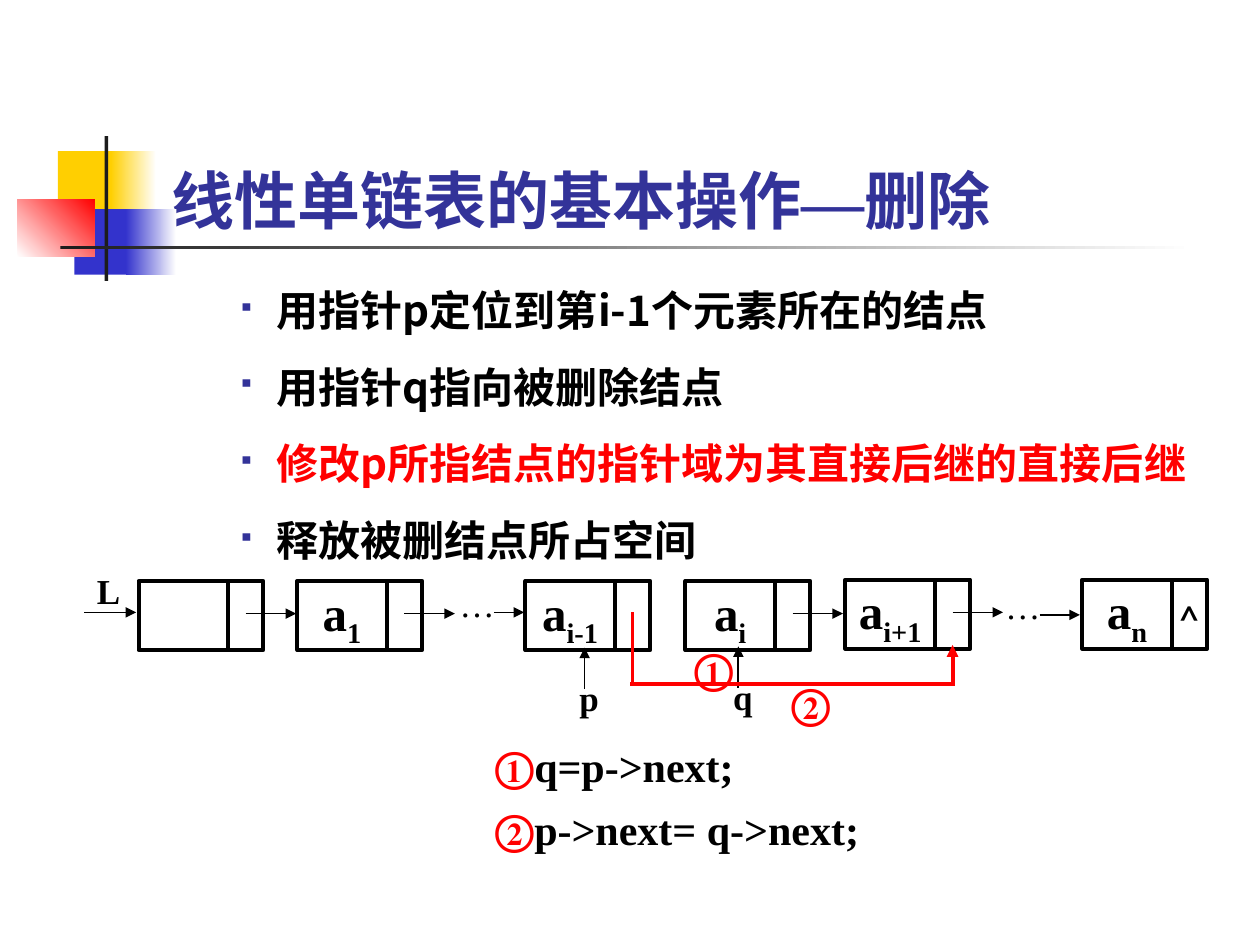
from lxml import etree
from pptx import Presentation, util as u
from pptx.dml.color import RGBColor
from pptx.enum import shapes as sh, text as tx
from pptx.oxml.ns import qn

PX = 9144
HUES = {"ink": "000000", "red": "FF0000", "navy": "333399", "blue": "3333CC",
        "gold": "FFCF01", "dark": "1C1C1C", "white": "FFFFFF"}
SERIF, SANS, HAN = "Times New Roman", "Karla", "Noto Sans CJK SC"


def px(*nums):
    return [u.Emu(n * PX) for n in nums]


def rgb(hue):
    return RGBColor.from_string(HUES[hue])


def sub(node, tag, **attrs):
    return etree.SubElement(node, qn(tag), **attrs)


def style(font, size, hue, face=SERIF, bold=True):
    font.size, font.bold, font.name = u.Pt(size), bold, face
    font.color.rgb = rgb(hue)
    sub(font._rPr, "a:ea", typeface=face)


def rect(slide, box, fill=None, fade=None, angle=0):
    shape = slide.shapes.add_shape(sh.MSO_SHAPE.RECTANGLE, *px(*box))
    shape.shadow.inherit = False
    if fade:
        shape.fill.gradient()
        shape.fill.gradient_angle = angle
        for stop, hue in zip(shape.fill.gradient_stops, (fill, fade)):
            stop.color.rgb = rgb(hue)
    elif fill:
        shape.fill.solid()
        shape.fill.fore_color.rgb = rgb(fill)
    else:
        shape.fill.background()
    if fill:
        shape.line.fill.background()
    else:
        shape.line.color.rgb = rgb("ink")
        shape.line.width = u.Pt(2.25)
    return shape


def line(slide, ends, hue="ink", width=0.75, arrow=True):
    link = slide.shapes.add_connector(sh.MSO_CONNECTOR.STRAIGHT, *px(*ends))
    link.line.color.rgb = rgb(hue)
    link.line.width = u.Pt(width)
    if arrow:
        sub(link.line._get_or_add_ln(), "a:tailEnd", type="triangle")
    sub(link._element.spPr, "a:effectLst")


def label(slide, box, parts, size=20, bold=True, wrap=True):
    frame = slide.shapes.add_textbox(*px(*box)).text_frame
    frame.word_wrap = wrap
    par = frame.paragraphs[0]
    for words, hue in parts:
        run = par.add_run()
        run.text = words
        style(run.font, size, hue, bold=bold)


def motif(slide, x, y):
    for box, *look in (
        ((32, 12, 48, 52), "gold"),
        ((74, 12, 36, 52), "gold", "white"),
        ((45, 58, 46, 52), "blue"),
        ((86, 58, 40, 52), "blue", "white"),
        ((0, 50, 61, 46), "white", "red", 45),
        ((69, 0, 3, 115), "dark"),
        ((34, 87, 900, 3), "dark", "white"),
    ):
        left, top, wide, high = box
        rect(slide, (x + left, y + top, wide, high), *look)


def title(slide, box):
    shape = slide.shapes.title
    shape.left, shape.top, shape.width, shape.height = px(*box)
    frame = shape.text_frame
    frame.auto_size = tx.MSO_AUTO_SIZE.NONE
    frame.vertical_anchor = tx.MSO_ANCHOR.BOTTOM
    par = frame.paragraphs[0]
    par.alignment = tx.PP_ALIGN.LEFT
    for words, face in (("线性单链表的基本操作", SANS), ("—", SERIF), ("删除", SANS)):
        run = par.add_run()
        run.text = words
        style(run.font, 36, "navy", face)


def steps(slide, box):
    frame = slide.shapes.add_textbox(*px(*box)).text_frame
    frame.word_wrap = True
    for i, (words, hue) in enumerate((
        ("用指针p定位到第i-1个元素所在的结点", "ink"),
        ("用指针q指向被删除结点", "ink"),
        ("修改p所指结点的指针域为其直接后继的直接后继", "red"),
        ("释放被删结点所占空间", "ink"),
    )):
        par = frame.add_paragraph() if i else frame.paragraphs[0]
        par.text = words
        par.level = 1
        par.line_spacing = u.Pt(28.8)
        if i:
            par.space_before = u.Pt(15)
        props = par._p.get_or_add_pPr()
        props.set("marL", str(81 * PX))
        props.set("indent", str(-31 * PX))
        sub(sub(props, "a:buClr"), "a:srgbClr", val=HUES["navy"])
        sub(props, "a:buSzPct", val="55000")
        sub(props, "a:buChar", char="▪")
        style(par.font, 24, hue, HAN)


def cell(slide, box, parts=(), size=28, face=SERIF, bold=True):
    frame = rect(slide, box).text_frame
    frame.word_wrap = False
    frame.vertical_anchor = tx.MSO_ANCHOR.MIDDLE
    par = frame.paragraphs[0]
    par.alignment = tx.PP_ALIGN.CENTER
    for i, words in enumerate(parts):
        run = par.add_run()
        run.text = words
        style(run.font, size, "ink", face, bold)
        if i:
            run.font._rPr.set("baseline", "-25000")


def node(slide, x, y, index, arrow, end):
    cell(slide, (x, y, 71, 55), ("a", index) if index else ())
    cell(slide, (x + 71, y, 28, 55), end, 24, SANS, False)
    if arrow:
        line(slide, (x + 85, y + 26, x + 125, y + 26))


def chain(slide, x, y):
    for left, top, index, arrow, end in (
        (43, 1, "", True, ""), (169, 1, "1", True, ""),
        (350, 1, "i-1", False, ""), (477, 1, "i", True, ""),
        (604, 0, "i+1", True, ""), (792, 0, "n", False, "^"),
    ):
        node(slide, x + left, y + top, index, arrow, end)
    for left, right, down in ((0, 41, 26), (325, 349, 26), (758, 790, 28)):
        line(slide, (x + left, y + down, x + right, y + down))
    label(slide, (x, y - 13, 38, 44), [("L", "ink")], wrap=False)
    for left, top in ((288, -3), (721, -1)):
        label(slide, (x + left, y + top, 75, 44), [("…", "ink")], bold=False)


def moves(slide, x, y):
    for name, left, top in (("p", 464, 514), ("q", 586, 513)):
        line(slide, (left, top + 33, left, top), width=1)
        label(slide, (left - 14, top + 18, 42, 44), [(name, "ink")])
    for *ends, arrow in ((502, 486, 502, 541, False), (500, 543, 758, 543, False),
                         (756, 543, 756, 512, True)):
        line(slide, ends, "red", 2.25, arrow)
    for i, (mark, code, left, top) in enumerate((
        ("①", "q=p->next;", 541, 505),
        ("②", "p->next= q->next;", 618, 533),
    )):
        label(slide, (left, top, 51, 50), [(mark, "red")], 24, wrap=False)
        label(slide, (x, y + 50 * i, 458, 50), [(mark, "red"), (code, "ink")], 24)


def main():
    deck = Presentation()
    deck.slide_width, deck.slide_height = px(1000, 750)
    slide = deck.slides.add_slide(deck.slide_layouts[5])
    motif(slide, 14, 108)
    title(slide, (126, 68, 852, 125))
    steps(slide, (129, 221, 850, 450))
    chain(slide, 67, 460)
    moves(slide, 383, 583)
    deck.save("out.pptx")


if __name__ == "__main__":
    main()
